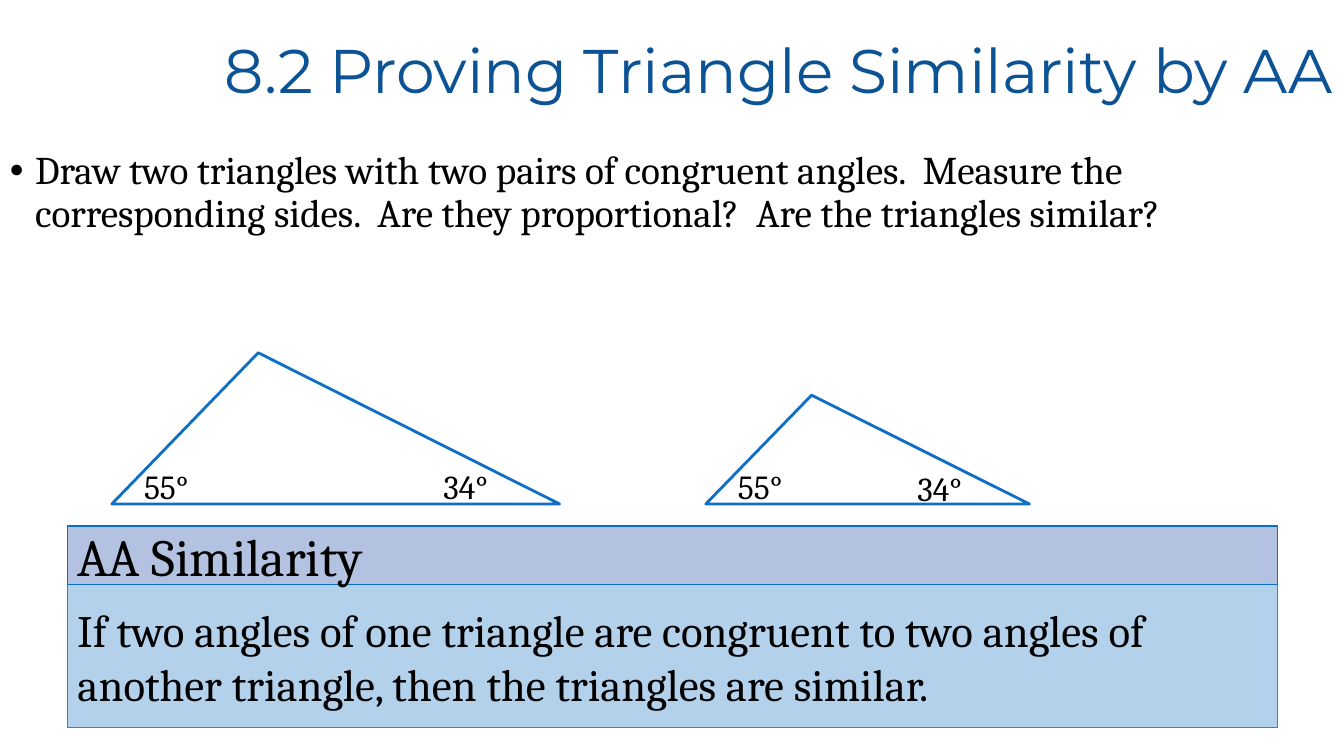
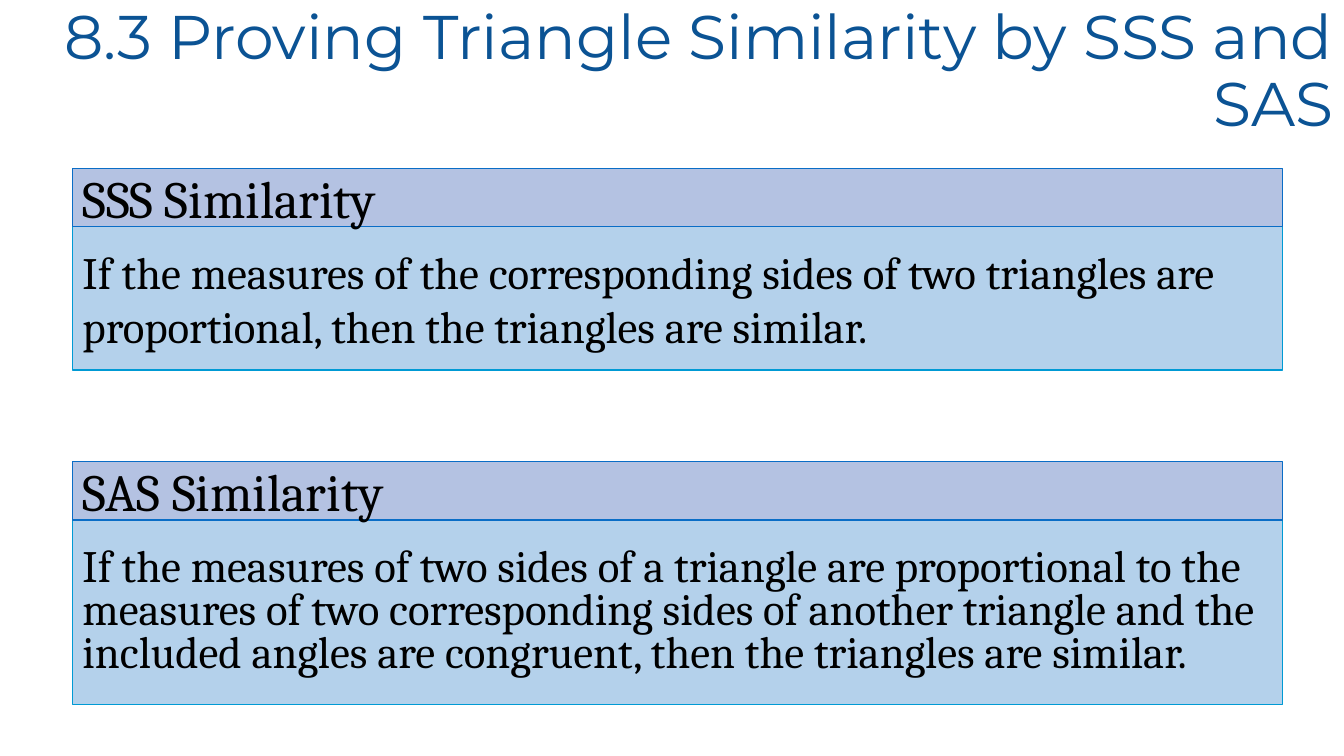
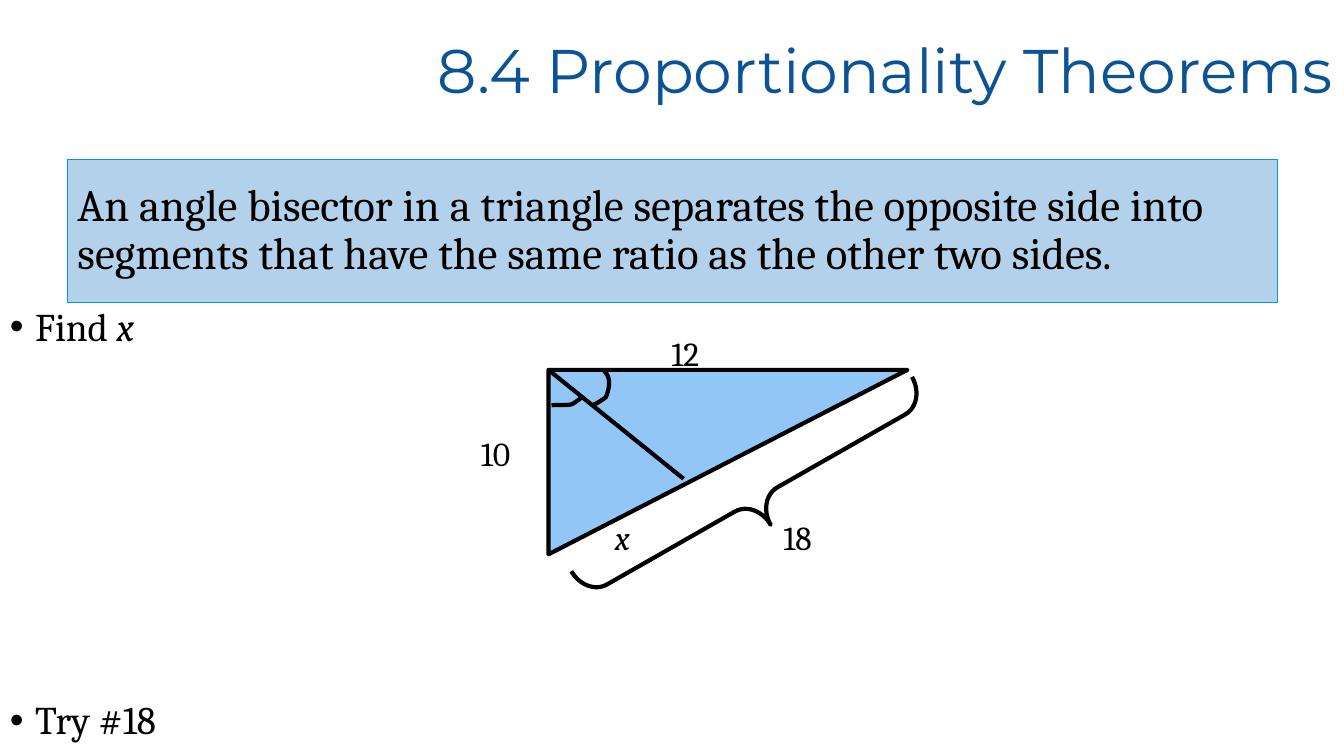
"""Build three geometry slides on triangle similarity and proportionality."""
import pptx
import pptx.util
import pptx.dml.color
import pptx.enum.shapes
import pptx.enum.text
import pptx.oxml.ns
import lxml.etree

Inches = pptx.util.Inches
Pt = pptx.util.Pt
qn = pptx.oxml.ns.qn
SHAPE = pptx.enum.shapes.MSO_SHAPE
ALIGN = pptx.enum.text.PP_ALIGN
ANCHOR = pptx.enum.text.MSO_ANCHOR

COLORS = {
    "title": "0B5394",
    "text": "000000",
    "rule": "B4D1EB",
    "rule_line": "009AD4",
    "heading": "B4C2E2",
    "heading_line": "0A6DC6",
    "outline": "0F6FC6",
    "triangle": "91C6F7",
    "ink": "000000",
}
TITLE_FONT, BODY_FONT = "Montserrat", "Cambria"
BOX_WIDTH, HEADING_HEIGHT = 12, 0.58


def rgb(name):
    """Return the named colour."""
    return pptx.dml.color.RGBColor.from_string(COLORS[name])


def format_runs(p, size, font=BODY_FONT, color="text"):
    """Set the font of every run in a paragraph."""
    for r in p.runs:
        r.font.size = Pt(size)
        r.font.name = font
        r.font.color.rgb = rgb(color)


def style_shape(s, fill, line, width):
    """Set fill and line and drop the shadow."""
    s.shadow.inherit = False
    if fill:
        s.fill.solid()
        s.fill.fore_color.rgb = rgb(fill)
    else:
        s.fill.background()
    s.line.color.rgb = rgb(line)
    s.line.width = Pt(width)


def add_shape(slide, kind, x, y, w, h, fill, line, width, adjust=()):
    """Add a preset shape."""
    s = slide.shapes.add_shape(kind, Inches(x), Inches(y), Inches(w), Inches(h))
    style_shape(s, fill, line, width)
    for i, value in enumerate(adjust):
        s.adjustments[i] = value
    return s


def add_slide(prs, title):
    """Add a slide with the shared title style."""
    slide = prs.slides.add_slide(prs.slide_layouts[5])
    s = slide.shapes.title
    s.left, s.top = Inches(0), Inches(0)
    s.width, s.height = prs.slide_width, Inches(1.45)
    tf = s.text_frame
    tf.text = title
    tf.word_wrap = True
    tf.auto_size = pptx.enum.text.MSO_AUTO_SIZE.NONE
    tf.vertical_anchor = ANCHOR.MIDDLE
    p = tf.paragraphs[0]
    p.alignment = ALIGN.RIGHT
    p.line_spacing = 0.9
    format_runs(p, 44, TITLE_FONT, "title")
    return slide


def add_text(slide, x, y, w, h):
    """Add an empty wrapping text box and return its text frame."""
    tf = slide.shapes.add_textbox(Inches(x), Inches(y), Inches(w), Inches(h)).text_frame
    tf.word_wrap = True
    return tf


def add_label(slide, text, x, y, w=1.11, italic=False):
    """Add a measurement label."""
    p = add_text(slide, x, y, w, 0.5).paragraphs[0]
    p.text = text
    format_runs(p, 24)
    p.runs[0].font.italic = italic


def format_bullet(p, space_before=10):
    """Give a paragraph a hanging bullet and body style."""
    p.line_spacing = 0.9
    p.space_before = Pt(space_before)
    pPr = p._p.get_or_add_pPr()
    pPr.set("marL", str(Inches(0.25)))
    pPr.set("indent", str(-Inches(0.25)))
    lxml.etree.SubElement(pPr, qn("a:buFont")).set("typeface", "Arial")
    lxml.etree.SubElement(pPr, qn("a:buChar")).set("char", "•")
    format_runs(p, 28)


def add_box(slide, text, x, y, h, size, fill, line, spacing=1.0):
    """Add a full-width filled box with left-aligned text."""
    s = add_shape(slide, SHAPE.RECTANGLE, x, y, BOX_WIDTH, h, fill, line, 1)
    tf = s.text_frame
    tf.text = text
    tf.word_wrap = True
    tf.vertical_anchor = ANCHOR.MIDDLE
    p = tf.paragraphs[0]
    p.alignment = ALIGN.LEFT
    p.line_spacing = spacing
    format_runs(p, size)


def add_rule(slide, text, x, y, h=1.42, spacing=1.0):
    """Add the box that states a theorem."""
    add_box(slide, text, x, y, h, 32, "rule", "rule_line", spacing)


def add_theorem(slide, name, text, x, y, h=1.42, spacing=1.0):
    """Add a theorem with its heading above."""
    add_rule(slide, text, x, y + HEADING_HEIGHT, h, spacing)
    add_box(slide, name, x, y, HEADING_HEIGHT, 37.3, "heading", "heading_line")


def add_curve(slide, start, *segments, steps=12):
    """Draw an open chain of cubic curves."""
    points = [start]
    for b, c, d in segments:
        a = points[-1]
        for i in range(1, steps + 1):
            t = i / steps
            u = 1 - t
            points.append(tuple(
                u**3 * a[k] + 3 * u * u * t * b[k] + 3 * u * t * t * c[k] + t**3 * d[k]
                for k in (0, 1)))
    points = [(Inches(x), Inches(y)) for x, y in points]
    builder = slide.shapes.build_freeform(*points[0])
    builder.add_line_segments(points[1:], close=False)
    style_shape(builder.convert_to_shape(), None, "ink", 3)


def add_line(slide, x1, y1, x2, y2):
    """Draw a straight ink line."""
    s = slide.shapes.add_connector(
        pptx.enum.shapes.MSO_CONNECTOR.STRAIGHT,
        Inches(x1), Inches(y1), Inches(x2), Inches(y2))
    s.line.color.rgb = rgb("ink")
    s.line.width = Pt(3)
    lxml.etree.SubElement(s._element.spPr, qn("a:effectLst"))


def build_aa(prs):
    """Build the AA similarity slide."""
    slide = add_slide(prs, "8.2 Proving Triangle Similarity by AA")
    p = add_text(slide, 0, 1.45, 13.33, 1.2).paragraphs[0]
    p.text = ("Draw two triangles with two pairs of congruent angles.  Measure the "
              "corresponding sides.  Are they proportional?  Are the triangles similar?")
    format_bullet(p)
    add_theorem(slide, "AA Similarity",
                "If two angles of one triangle are congruent to two angles of "
                "another triangle, then the triangles are similar.", 0.67, 5.22)
    base = 5
    for x, w, h, right_x, right_y in ((1.11, 4.44, 1.5, 4.3, 4.57),
                                      (7, 3.21, 1.08, 9, 4.59)):
        add_shape(slide, SHAPE.ISOSCELES_TRIANGLE, x, base - h, w, h,
                  None, "outline", 2, (0.327,))
        add_label(slide, "55°", x + 0.22, 4.57, 0.89)
        add_label(slide, "34°", right_x, right_y, 0.89)


def build_sss_sas(prs):
    """Build the SSS and SAS similarity slide."""
    slide = add_slide(prs, "8.3 Proving Triangle Similarity by SSS and SAS")
    add_theorem(slide, "SSS Similarity",
                "If the measures of the corresponding sides of two triangles are "
                "proportional, then the triangles are similar.", 0.72, 1.67)
    add_theorem(slide, "SAS Similarity",
                "If the measures of two sides of a triangle are proportional to the "
                "measures of two corresponding sides of another triangle and the "
                "included angles are congruent, then the triangles are similar.",
                0.72, 4.58, 1.83, 0.8)


def build_proportionality(prs):
    """Build the angle bisector slide."""
    slide = add_slide(prs, "8.4 Proportionality Theorems")
    tf = add_text(slide, 0, 3, 13.33, 4.5)
    p = tf.paragraphs[0]
    p.add_run().text = "Find "
    r = p.add_run()
    r.text = "x"
    r.font.italic = True
    format_bullet(p)
    p = tf.add_paragraph()
    p.text = "Try #18"
    format_bullet(p, 251)

    s = add_shape(slide, SHAPE.RIGHT_TRIANGLE, 5.44, 3.67, 3.56, 1.83,
                  "triangle", "ink", 3)
    s._element.spPr.find(qn("a:xfrm")).set("flipV", "1")
    for text, x, y in (("10", 4.67, 4.25), ("x", 6, 5.08),
                       ("12", 6.56, 3.25), ("18", 7.67, 5.08)):
        add_label(slide, text, x, y, italic=text == "x")
    s = add_shape(slide, SHAPE.RIGHT_BRACE, 7.21, 3.01, 0.58, 3.89,
                  None, "ink", 3, (0.417, 0.5))
    s.rotation = 60.3
    add_line(slide, 5.44, 3.67, 6.78, 4.75)
    add_curve(slide, (5.47, 4.02), ((5.69, 4.01), (5.64, 4.04), (5.76, 3.95)))
    add_curve(slide, (5.87, 4.02),
              ((5.92, 4.01), (6.01, 3.94), (6.01, 3.94)),
              ((6.04, 3.86), (6.07, 3.75), (5.99, 3.68)))
    add_rule(slide, "An angle bisector in a triangle separates the opposite side into "
             "segments that have the same ratio as the other two sides.",
             0.67, 1.58, spacing=0.9)


def main():
    """Build and save the presentation."""
    prs = pptx.Presentation()
    prs.slide_width, prs.slide_height = Inches(13.33), Inches(7.5)
    build_aa(prs)
    build_sss_sas(prs)
    build_proportionality(prs)
    prs.save("out.pptx")


if __name__ == "__main__":
    main()
